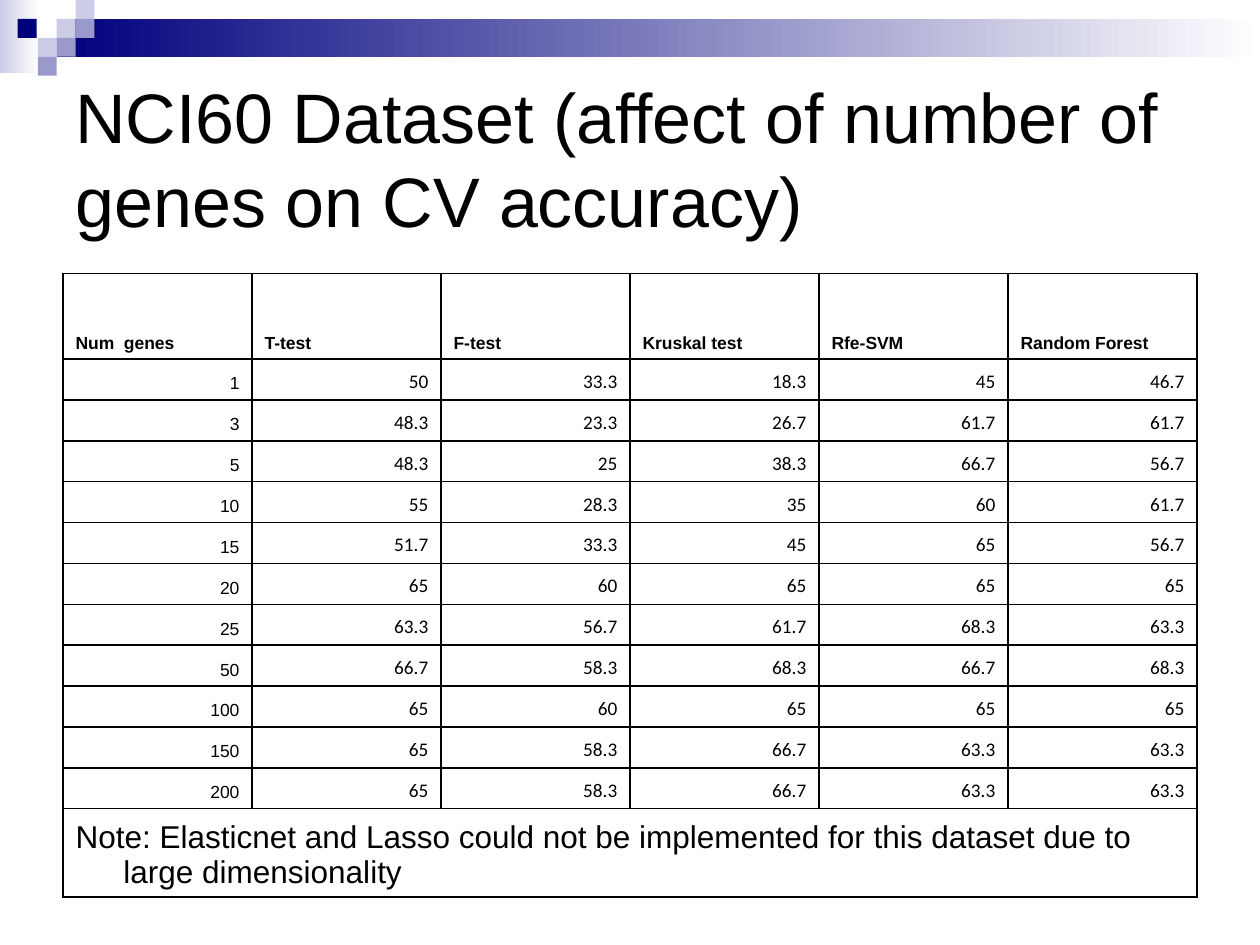
from lxml.etree import SubElement
from pptx import Presentation
from pptx.dml.color import RGBColor
from pptx.enum.shapes import MSO_SHAPE as Shape
from pptx.enum.text import MSO_ANCHOR as Anchor, PP_ALIGN as Align
from pptx.oxml.ns import qn
from pptx.util import Inches, Pt

COLORS = {"navy": "00007D", "violet": "9999CC", "lilac": "CCCCE6",
          "white": "FFFFFF", "black": "000000"}

TITLE = "NCI60 Dataset (affect of number of genes on CV accuracy)"
NOTE = ("Note: Elasticnet and Lasso could not be implemented "
        "for this dataset due to large dimensionality")
HEADERS = ["Num  genes", "T-test", "F-test", "Kruskal test", "Rfe-SVM", "Random Forest"]
ACCURACY = [
    (1, 50, 33.3, 18.3, 45, 46.7),
    (3, 48.3, 23.3, 26.7, 61.7, 61.7),
    (5, 48.3, 25, 38.3, 66.7, 56.7),
    (10, 55, 28.3, 35, 60, 61.7),
    (15, 51.7, 33.3, 45, 65, 56.7),
    (20, 65, 60, 65, 65, 65),
    (25, 63.3, 56.7, 61.7, 68.3, 63.3),
    (50, 66.7, 58.3, 68.3, 66.7, 68.3),
    (100, 65, 60, 65, 65, 65),
    (150, 65, 58.3, 66.7, 63.3, 63.3),
    (200, 65, 58.3, 66.7, 63.3, 63.3),
]

# Header ornament: gradient bars, then small squares (left, top, color)
BARS = [(0, 0, 0.31, 0.58, "lilac"), (0.45, 0.15, 9.55, 0.3, "navy")]
SQUARE = 0.15
SQUARES = [(0.45, 0.15, "lilac"), (0.6, 0, "lilac"), (0.6, 0.15, "violet"),
           (0.3, 0.3, "lilac"), (0.14, 0.15, "navy"), (0.45, 0.3, "violet"),
           (0.3, 0.45, "violet")]

TABLE_LEFT, TABLE_TOP, TABLE_WIDTH = 0.5, 2.17, 9
HEADER_HEIGHT, BODY_HEIGHT, NOTE_HEIGHT = 0.68, 3.57, 0.66
INDENT = 0.38


def rgb(name):
    return RGBColor.from_string(COLORS[name])


def add_block(page, left, top, width, height, color, fade=False):
    block = page.shapes.add_shape(Shape.RECTANGLE, Inches(left), Inches(top),
                                  Inches(width), Inches(height))
    block.shadow.inherit = False
    block.line.fill.background()
    if fade:
        block.fill.gradient()
        block.fill.gradient_angle = 0
        for stop, name, position in zip(block.fill.gradient_stops, (color, "white"), (0, 1)):
            stop.color.rgb = rgb(name)
            stop.position = position
    else:
        block.fill.solid()
        block.fill.fore_color.rgb = rgb(color)


def style_font(para, size, name="Arial", bold=False):
    for span in para.runs:
        span.font.size = Pt(size)
        span.font.name = name
        span.font.bold = bold
        span.font.color.rgb = rgb("black")


def add_borders(cell):
    props = cell._tc.get_or_add_tcPr()
    for index, side in enumerate(("lnL", "lnR", "lnT", "lnB")):
        line = props.makeelement(qn(f"a:{side}"), {"w": str(Pt(1))})
        fill = SubElement(line, qn("a:solidFill"))
        SubElement(fill, qn("a:srgbClr"), val=COLORS["black"])
        props.insert(index, line)


def fill_cell(cell, text, size, name="Arial", bold=False, align=Align.LEFT):
    cell.text = text
    cell.vertical_anchor = Anchor.BOTTOM
    para = cell.text_frame.paragraphs[0]
    para.alignment = align
    para_props = para._p.get_or_add_pPr()
    para_props.set("marL", str(Inches(INDENT)))
    para_props.set("indent", str(-Inches(INDENT)))
    style_font(para, size, name, bold)


def add_title(page):
    box = page.shapes.add_textbox(Inches(0.5), Inches(0.5), Inches(9), Inches(1.5))
    frame = box.text_frame
    frame.word_wrap = True
    frame.vertical_anchor = Anchor.MIDDLE
    frame.text = TITLE
    style_font(frame.paragraphs[0], 40)


def add_accuracy_table(page):
    row_count, column_count = len(ACCURACY) + 2, len(HEADERS)
    heights = ([HEADER_HEIGHT] + [BODY_HEIGHT / len(ACCURACY)] * len(ACCURACY)
               + [NOTE_HEIGHT])
    table = page.shapes.add_table(row_count, column_count, Inches(TABLE_LEFT),
                                  Inches(TABLE_TOP), Inches(TABLE_WIDTH),
                                  Inches(sum(heights))).table
    table.first_row = table.horz_banding = False
    for row, height in zip(table.rows, heights):
        row.height = Inches(height)
    for column in table.columns:
        column.width = Inches(TABLE_WIDTH / column_count)
    for cell in table.iter_cells():
        cell.fill.background()
        add_borders(cell)

    for column, header in enumerate(HEADERS):
        fill_cell(table.cell(0, column), header, 10, bold=True)
    for row, values in enumerate(ACCURACY, start=1):
        for column, value in enumerate(values):
            size, name = (11, "Calibri") if column else (10, "Arial")
            fill_cell(table.cell(row, column), str(value), size, name, align=Align.RIGHT)

    # Note across the full width
    note = table.cell(row_count - 1, 0)
    note.merge(table.cell(row_count - 1, column_count - 1))
    fill_cell(note, NOTE, 18)


def main():
    deck = Presentation()
    deck.slide_width, deck.slide_height = Inches(10), Inches(7.5)
    page = deck.slides.add_slide(deck.slide_layouts[6])
    for bar in BARS:
        add_block(page, *bar, fade=True)
    for left, top, color in SQUARES:
        add_block(page, left, top, SQUARE, SQUARE, color)
    add_title(page)
    add_accuracy_table(page)
    deck.save("out.pptx")


if __name__ == "__main__":
    main()
